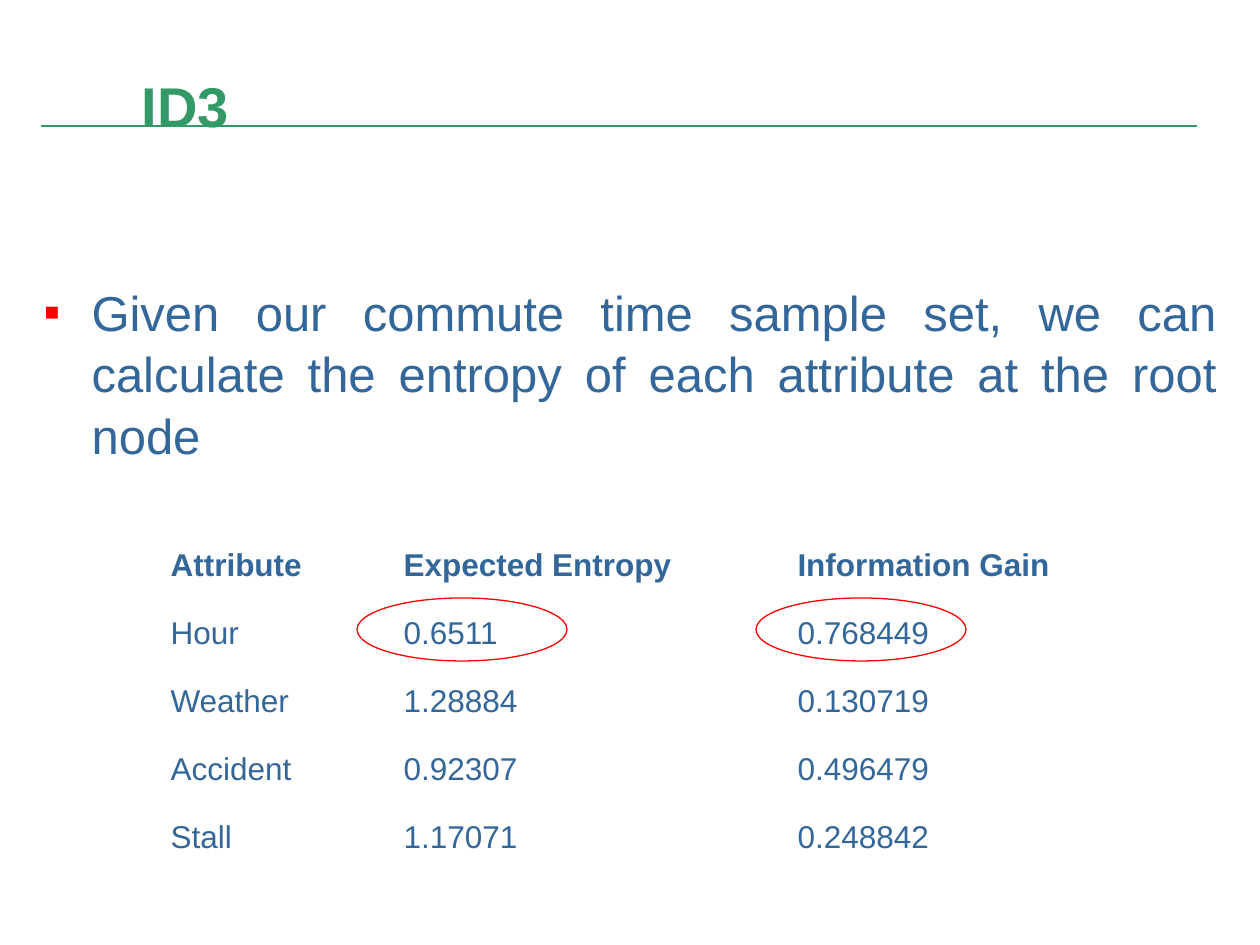
"""Builds the ID3 slide with the entropy and gain of each attribute."""
import dataclasses

import lxml.etree
import pptx
import pptx.dml.color
import pptx.enum.shapes
import pptx.enum.text
import pptx.oxml.ns
import pptx.util

SCALE = 914400 // 126
RGB = pptx.dml.color.RGBColor.from_string
ALIGN = pptx.enum.text.PP_ALIGN
ANCHOR = pptx.enum.text.MSO_ANCHOR
qn = pptx.oxml.ns.qn


@dataclasses.dataclass
class Theme:
    font: str = "Arial"
    green: str = "339966"
    blue: str = "336699"
    red: str = "FF0000"
    title: int = 32
    body: int = 28
    cell: int = 18


theme = Theme()


def px(*nums):
    return [num * SCALE for num in nums]


def write(para, text, size, color, bold=False):
    run = para.add_run()
    run.text = text
    run.font.name = theme.font
    run.font.size = pptx.util.Pt(size)
    run.font.bold = bold
    run.font.color.rgb = RGB(color)


deck = pptx.Presentation()
deck.slide_width, deck.slide_height = px(1260, 945)
slide = deck.slides.add_slide(deck.slide_layouts[1])
shapes = slide.shapes

rule = shapes.add_connector(
    pptx.enum.shapes.MSO_CONNECTOR.STRAIGHT, *px(41, 126, 1197, 126))
rule.line.color.rgb = RGB(theme.green)
rule.line.width = pptx.util.Pt(1)
lxml.etree.SubElement(rule._element.spPr, qn("a:effectLst"))

title = shapes.title
title.left, title.top, title.width, title.height = px(129, 14, 987, 195)
frame = title.text_frame
frame.auto_size = pptx.enum.text.MSO_AUTO_SIZE.NONE
frame.vertical_anchor = ANCHOR.MIDDLE
para = frame.paragraphs[0]
para.alignment = ALIGN.LEFT
para.line_spacing = 0.8
write(para, "ID3", theme.title, theme.green, True)

body = slide.placeholders[1]
body.left, body.top, body.width, body.height = px(32, 273, 1197, 199)
frame = body.text_frame
frame.auto_size = pptx.enum.text.MSO_AUTO_SIZE.NONE
para = frame.paragraphs[0]
para.alignment = ALIGN.JUSTIFY
para.line_spacing = 1.05
write(para, "Given our commute time sample set, we can calculate the entropy "
      "of each attribute at the root node", theme.body, theme.blue)
props = para._p.get_or_add_pPr()
props.set("marL", str(47 * SCALE))
props.set("indent", str(-47 * SCALE))
space = lxml.etree.SubElement(props, qn("a:spcBef"))
lxml.etree.SubElement(space, qn("a:spcPct"), val="50000")
tint = lxml.etree.SubElement(props, qn("a:buClr"))
lxml.etree.SubElement(tint, qn("a:srgbClr"), val=theme.red)
lxml.etree.SubElement(props, qn("a:buSzPct"), val="50000")
lxml.etree.SubElement(props, qn("a:buFont"), typeface=theme.font)
lxml.etree.SubElement(props, qn("a:buChar"), char="■")

rows = [
    ("Attribute", "Expected Entropy", "Information Gain"),
    ("Hour", "0.6511", "0.768449"),
    ("Weather", "1.28884", "0.130719"),
    ("Accident", "0.92307", "0.496479"),
    ("Stall", "1.17071", "0.248842"),
]
table = shapes.add_table(len(rows), 3, *px(158, 504, 1007, 358)).table
table.first_row = table.horz_banding = False
for col, width in zip(table.columns, px(233, 394, 380)):
    col.width = width
for row, height in zip(table.rows, px(86, 68, 68, 68, 68)):
    row.height = height
for r, row in enumerate(rows):
    for c, text in enumerate(row):
        cell = table.cell(r, c)
        cell.fill.background()
        cell.vertical_anchor = ANCHOR.BOTTOM
        para = cell.text_frame.paragraphs[0]
        write(para, text, theme.cell, theme.blue, r == 0)
        props = para._p.get_or_add_pPr()
        props.set("marL", str(62 * SCALE))
        props.set("indent", str(-62 * SCALE))

for left in (357, 756):
    ring = shapes.add_shape(
        pptx.enum.shapes.MSO_SHAPE.OVAL, *px(left, 598, 210, 63))
    ring.shadow.inherit = False
    ring.fill.background()
    ring.line.color.rgb = RGB(theme.red)
    ring.line.width = pptx.util.Pt(0.75)

deck.save("out.pptx")
